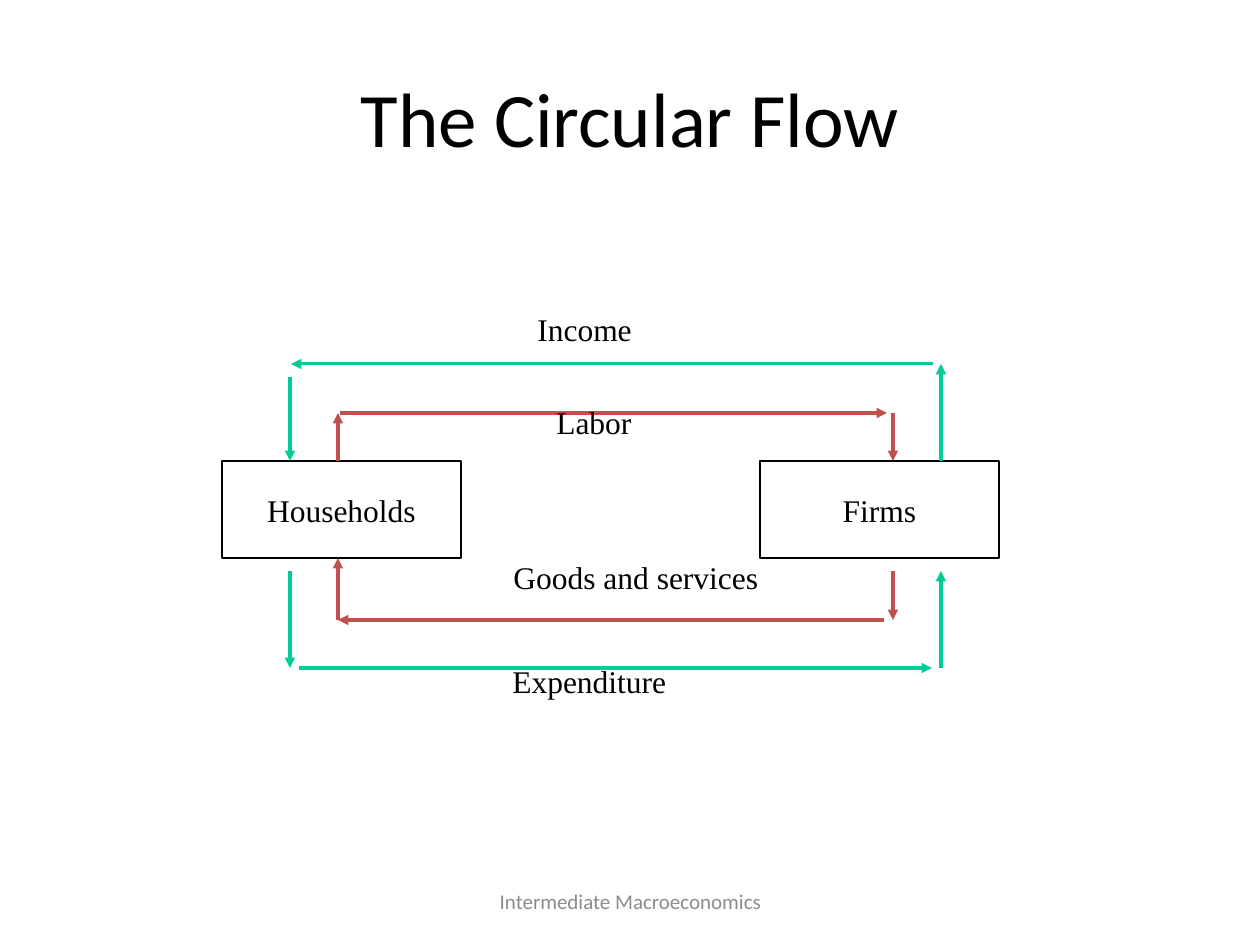
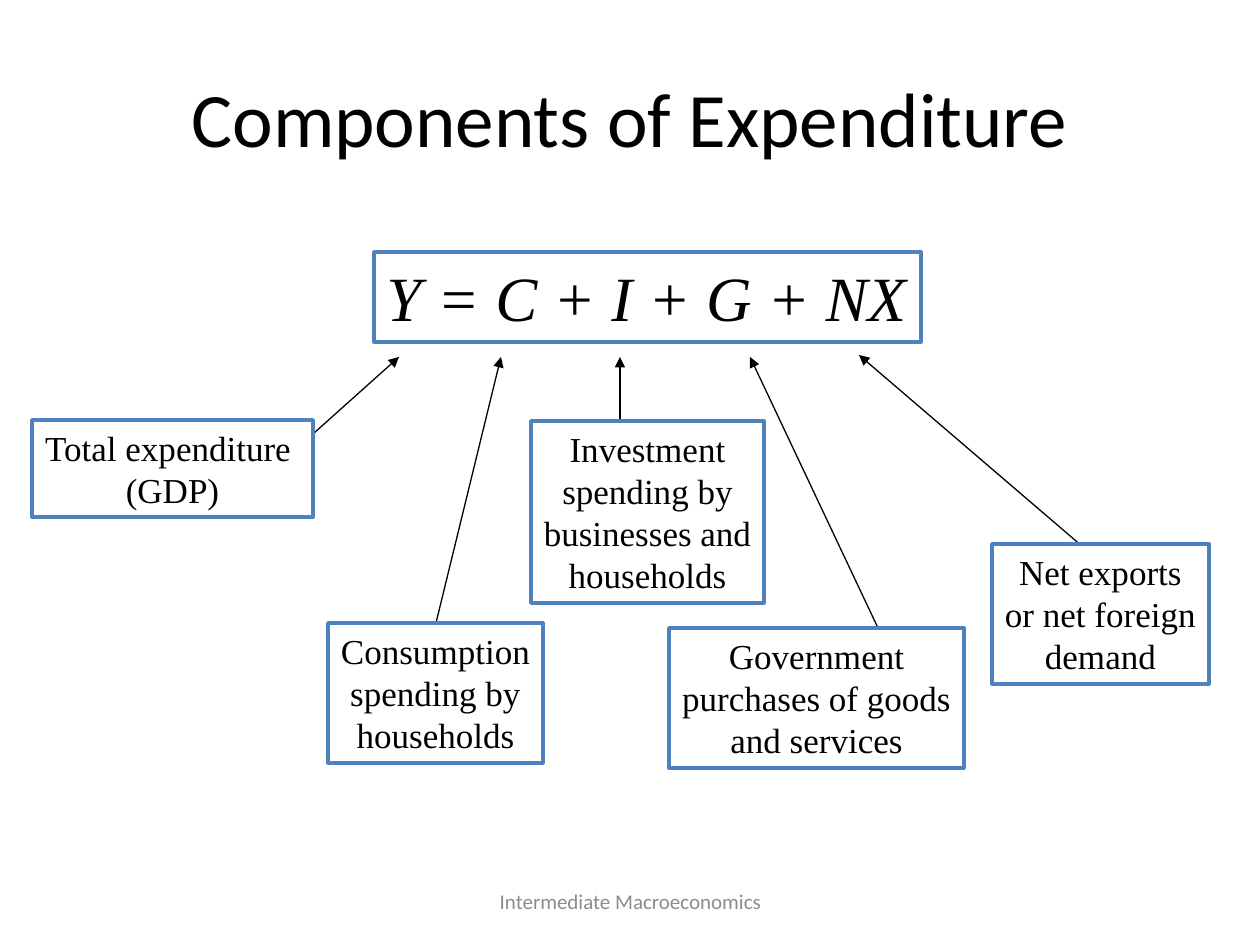
from dataclasses import dataclass

from lxml.etree import SubElement
from pptx import Presentation
from pptx.dml.color import RGBColor as RGB
from pptx.enum.shapes import MSO_CONNECTOR as CONN, MSO_SHAPE as SHAPE
from pptx.enum.text import MSO_ANCHOR as ANCHOR, MSO_AUTO_SIZE as AUTO, PP_ALIGN as ALIGN
from pptx.oxml.ns import qn
from pptx.util import Emu, Inches, Pt


@dataclass(frozen=True)
class Theme:
    ink: str = "000000"
    paper: str = "FFFFFF"
    muted: str = "8C8C8C"
    money: str = "00CC99"
    goods: str = "C0504D"
    frame: str = "4F81BD"
    sans: str = "Calibri"
    serif: str = "Times New Roman"
    title: int = 44
    formula: int = 36
    note: int = 20
    label: int = 18
    footer: int = 12
    thin: float = 0.75
    flow: float = 1.75
    border: float = 2


T = Theme()
FOOTER = "Intermediate Macroeconomics"
TITLE_AT = (63, 38, 1134, 157)
FOOTER_AT = (431, 876, 399, 50)

FLOW_TITLE = "The Circular Flow"
SECTORS = [("Households", 222), ("Firms", 760)]
SECTOR_TOP, SECTOR_W, SECTOR_H = 461, 239, 97
FLOW_LABELS = [
    ("Income", (525, 304, 121, 71)),
    ("Labor", (544, 397, 115, 73)),
    ("Goods and services", (501, 552, 272, 50)),
    ("Expenditure", (500, 656, 181, 71)),
]
FLOWS = {
    T.money: [
        (941, 461, 941, 364), (933, 364, 291, 364), (290, 377, 290, 461),
        (290, 571, 290, 668), (299, 668, 932, 668), (941, 668, 941, 571),
    ],
    T.goods: [
        (338, 461, 338, 413), (340, 413, 887, 413), (893, 413, 893, 461),
        (893, 571, 893, 620), (884, 620, 338, 620), (338, 620, 338, 558),
    ],
}

PARTS_TITLE = "Components of Expenditure"
FORMULA = "Y = C + I + G + NX"
FORMULA_AT = (374, 252, 547, 90)
NOTES = [
    (["Government", "purchases of goods", "and services"],
     (669, 628, 295, 140), (878, 628, 750, 357)),
    (["Total expenditure ", "(GDP)"],
     (32, 420, 281, 97), (294, 451, 399, 357)),
    (["Consumption", "spending by", "households"],
     (328, 623, 215, 140), (436, 623, 501, 357)),
    (["Investment", "spending by", "businesses and", "households"],
     (531, 421, 233, 182), (620, 420, 620, 357)),
    (["Net exports", "or net foreign", "demand"],
     (992, 544, 217, 140), (1090, 553, 859, 355)),
]

PX = Inches(1) / 126


def emu(box):
    return [Emu(round(v * PX)) for v in box]


def put(obj, values):
    for name, value in values.items():
        setattr(obj, name, value)


def write(sp, lines, size, font=T.serif, color=T.ink, italic=False,
          align=ALIGN.CENTER, anchor=ANCHOR.MIDDLE, wrap=False, fit=AUTO.NONE):
    tf = sp.text_frame
    put(tf, {"word_wrap": wrap, "auto_size": fit, "vertical_anchor": anchor})
    for i, line in enumerate(lines):
        p = tf.add_paragraph() if i else tf.paragraphs[0]
        p.alignment = align
        r = p.add_run()
        r.text = line
        put(r.font, {"name": font, "size": Pt(size), "italic": italic})
        r.font.color.rgb = RGB.from_string(color)


def add_text(s, box, lines, size, **style):
    write(s.shapes.add_textbox(*emu(box)), lines, size, **style)


def add_box(s, box, lines, size, line, width, **style):
    sp = s.shapes.add_shape(SHAPE.RECTANGLE, *emu(box))
    sp.shadow.inherit = False
    sp.fill.solid()
    sp.fill.fore_color.rgb = RGB.from_string(T.paper)
    sp.line.color.rgb = RGB.from_string(line)
    sp.line.width = Pt(width)
    write(sp, lines, size, **style)


def add_arrow(s, ends, color, width):
    cx = s.shapes.add_connector(CONN.STRAIGHT, *emu(ends))
    cx.line.color.rgb = RGB.from_string(color)
    cx.line.width = Pt(width)
    SubElement(cx.line._get_or_add_ln(), qn("a:tailEnd"), type="triangle")
    SubElement(cx._element.spPr, qn("a:effectLst"))


def add_slide(prs, title):
    s = prs.slides.add_slide(prs.slide_layouts[6])
    add_text(s, TITLE_AT, [title], T.title, font=T.sans, wrap=True)
    add_text(s, FOOTER_AT, [FOOTER], T.footer, font=T.sans, color=T.muted, wrap=True)
    return s


def build_flow(prs):
    s = add_slide(prs, FLOW_TITLE)
    for name, left in SECTORS:
        add_box(s, (left, SECTOR_TOP, SECTOR_W, SECTOR_H), [name], T.label, T.ink, T.thin)
    for color, arrows in FLOWS.items():
        for ends in arrows:
            add_arrow(s, ends, color, T.flow)
    for text, box in FLOW_LABELS:
        add_text(s, box, [text], T.label, align=ALIGN.LEFT, anchor=ANCHOR.TOP,
                 fit=AUTO.SHAPE_TO_FIT_TEXT)


def build_parts(prs):
    s = add_slide(prs, PARTS_TITLE)
    style = {"anchor": ANCHOR.TOP, "fit": AUTO.SHAPE_TO_FIT_TEXT}
    add_box(s, FORMULA_AT, [FORMULA], T.formula, T.frame, T.border,
            italic=True, align=ALIGN.LEFT, **style)
    for lines, box, ends in NOTES:
        add_arrow(s, ends, T.ink, T.thin)
        add_box(s, box, lines, T.note, T.frame, T.border, **style)


prs = Presentation()
put(prs, {"slide_width": Inches(10), "slide_height": Inches(7.5)})
build_flow(prs)
build_parts(prs)
prs.save("out.pptx")
